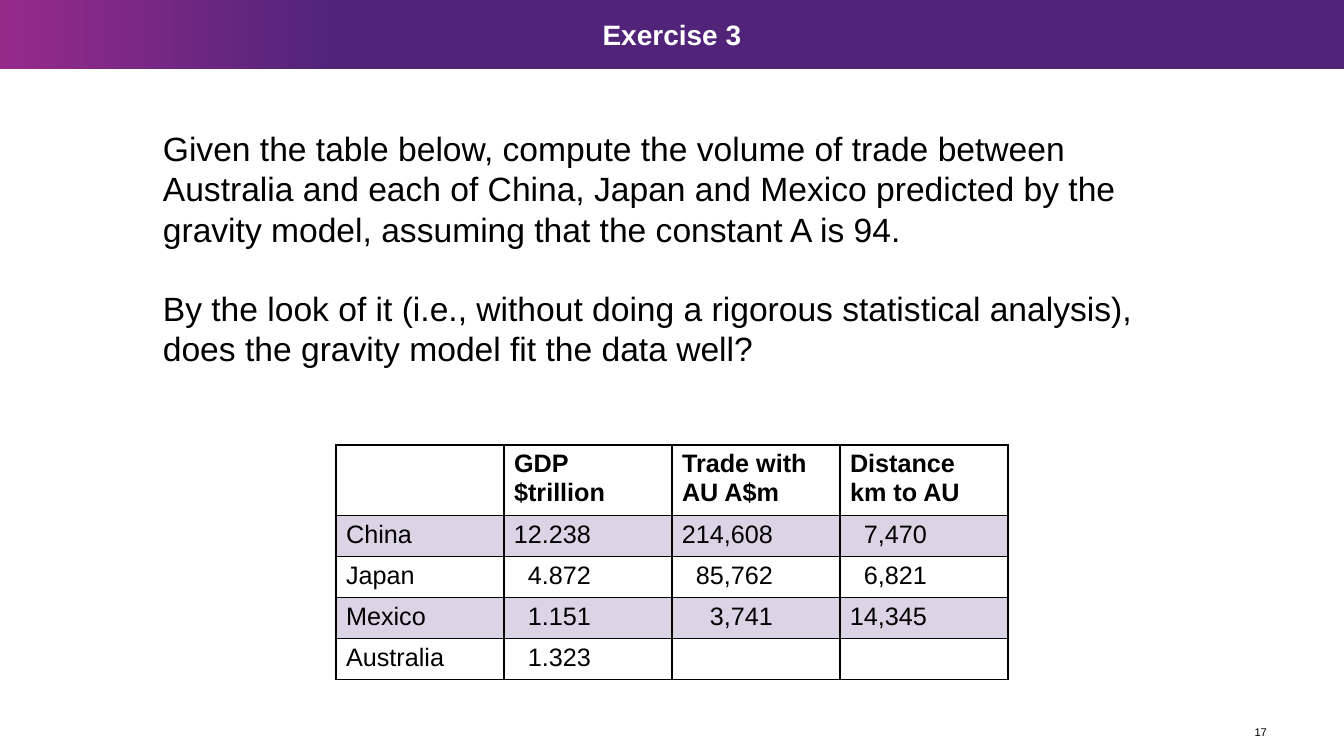
from pptx import Presentation
from pptx.util import Pt
from pptx.dml.color import RGBColor as Rgb
from pptx.enum.shapes import MSO_SHAPE as Shape
from pptx.enum.text import PP_ALIGN as Align, MSO_ANCHOR as Anchor, MSO_AUTO_SIZE as Auto
from lxml.etree import SubElement as Sub
from pptx.oxml.ns import qn

PX = 914400 / 100.8
INK, PAPER, GRAPE, PLUM = "000000", "FFFFFF", "51247A", "962A8B"


def emu(*sizes):
    return [round(size * PX) for size in sizes]


def write(para, text, size, tint=INK, bold=False, align=Align.LEFT):
    para.alignment = align
    run = para.add_run()
    run.text = text
    run.font.name = "Arial"
    run.font.size = Pt(size)
    run.font.bold = bold
    run.font.color.rgb = Rgb.from_string(tint)


deck = Presentation()
deck.slide_width, deck.slide_height = emu(1344, 756)
slide = deck.slides.add_slide(deck.slide_layouts[6])
shapes = slide.shapes

band = shapes.add_shape(Shape.RECTANGLE, *emu(0, 0, 1344, 69))
band.shadow.inherit = False
band.line.fill.background()
band.fill.gradient()
band.fill.gradient_angle = 0
for stop, (spot, tint) in zip(band.fill.gradient_stops, [(0, PLUM), (0.25, GRAPE)]):
    stop.position = spot
    stop.color.rgb = Rgb.from_string(tint)

number = shapes.add_textbox(*emu(1236, 719, 31, 26)).text_frame
number.margin_left = number.margin_right = number.margin_top = number.margin_bottom = 0
number.vertical_anchor = Anchor.MIDDLE
number.word_wrap = True
write(number.paragraphs[0], "17", 8, align=Align.RIGHT)

title = shapes.add_textbox(*emu(592, 13, 160, 44)).text_frame
title.word_wrap = False
title.auto_size = Auto.SHAPE_TO_FIT_TEXT
write(title.paragraphs[0], "Exercise 3", 20, PAPER, True, Align.CENTER)

task = shapes.add_textbox(*emu(153, 123, 1037, 254)).text_frame
task.word_wrap = True
task.auto_size = Auto.SHAPE_TO_FIT_TEXT
write(task.paragraphs[0], "Given the table below, compute the volume of trade between Australia and each of China, Japan and Mexico predicted by the gravity model, assuming that the constant A is 94.", 24)
query = task.add_paragraph()
query.space_before = Pt(27.6)
write(query, "By the look of it (i.e., without doing a rigorous statistical analysis), does the gravity model fit the data well?", 24)

rows = [
    ["", "GDP $trillion", "Trade with AU A$m", "Distance km to AU"],
    ["China", "12.238", "214,608", "7,470"],
    ["Japan", "4.872", "85,762", "6,821"],
    ["Mexico", "1.151", "3,741", "14,345"],
    ["Australia", "1.323", "", ""],
]
insets = [10, 81, 67, 81]
table = shapes.add_table(5, 4, *emu(336, 445, 672, 234)).table
table.first_row = table.horz_banding = False
for col in table.columns:
    col.width = emu(168)[0]
for r, row in enumerate(rows):
    table.rows[r].height = emu(41 if r else 70)[0]
    for c, text in enumerate(row):
        cell = table.cell(r, c)
        props = cell._tc.get_or_add_tcPr()
        for side in ("a:lnL", "a:lnR", "a:lnT", "a:lnB"):
            edge = Sub(props, qn(side), w=str(Pt(1)))
            Sub(Sub(edge, qn("a:solidFill")), qn("a:srgbClr"), val=INK)
        if r % 2:
            cell.fill.solid()
            cell.fill.fore_color.rgb = Rgb.from_string(GRAPE)
            Sub(props.find(".//" + qn("a:solidFill") + "[last()]/" + qn("a:srgbClr") + f"[@val='{GRAPE}']"), qn("a:alpha"), val="20000")
        else:
            cell.fill.background()
        value = r > 0 and c > 0
        if value:
            cell.margin_left, cell.margin_right = emu(0, insets[c])
        if text:
            write(cell.text_frame.paragraphs[0], text, 18, bold=r == 0, align=Align.RIGHT if value else Align.LEFT)

deck.save("out.pptx")
